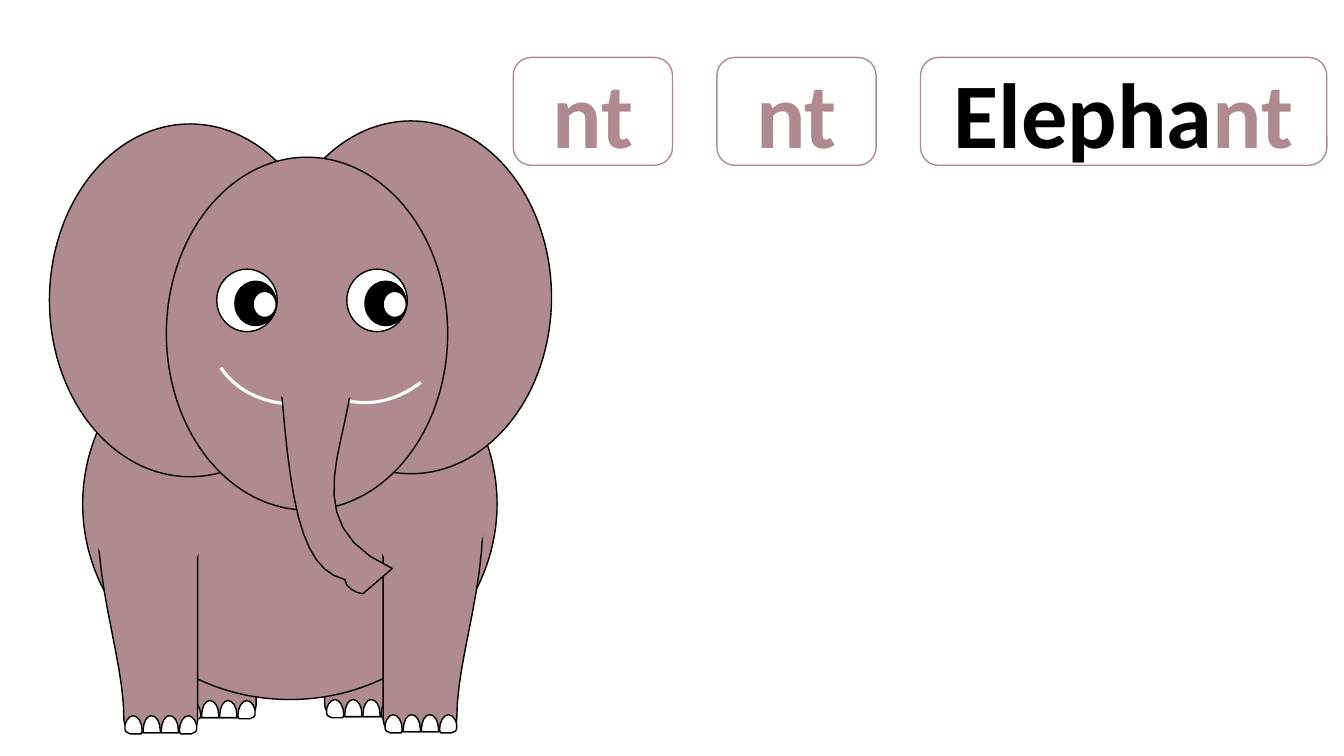
import math

from pptx import Presentation
from pptx import util as u
from pptx.dml.color import RGBColor
from pptx.enum import shapes, text

SKIN, INK, PAPER = "AF8B91", "000000", "FFFFFF"
KIND = shapes.MSO_SHAPE
CARDS = [(1.58, [("nt", SKIN)]), (1.58, [("nt", SKIN)]), (4.03, [("Elepha", INK), ("nt", SKIN)])]

# Each step holds one end point, or two control points and an end point.
LEG = [(0, 0.12), (0, 0.05, 0.05, 0, 0.12, 0), (0.61, 0),
       (0.67, 0, 0.89, -0.44, 0.89, -0.37), (1.19, 0.79, 0.73, 1.67, 0.73, 2.45),
       (0.73, 2.51, 0.67, 2.57, 0.61, 2.57), (0.12, 2.57), (0.05, 2.57, 0, 2.51, 0, 2.45)]
MIDDLE_TOE = [(0.08, 0), (0.04, 0, 0, 0.06, 0, 0.15), (0, 0.17), (0.17, 0.17),
              (0.17, 0.15), (0.17, 0.06, 0.13, 0, 0.08, 0)]
SIDE_TOE = [(0.08, 0), (0.05, 0, 0.01, 0.04, 0, 0.09), (0, 0.14),
            (0.01, 0.16), (0.05, 0.18), (0.16, 0.18), (0.17, 0.15),
            (0.17, 0.07, 0.13, 0, 0.08, 0)]
TRUNK = [(0.73, 0.12), (0.73, 0.06, 0.67, 0, 0.61, 0), (0.12, 0),
         (0.05, 0, 0, 0.06, 0, 0.12), (0.1, 1.44, 0.19, 2.16, 0.65, 2.27),
         (0.65, 2.34, 0.76, 2.41, 0.83, 2.41), (1.12, 2.16),
         (0.11, 1.7, 0.73, 0.9, 0.73, 0.12)]


def color(value):
    """Turn a hex string into a colour."""
    return RGBColor.from_string(value)


def paint(shape, fill, line, weight=1):
    """Set fill and line, where None means no paint, and drop the shadow."""
    shape.shadow.inherit = False
    for target, value in ((shape.fill, fill), (shape.line.fill, line)):
        if value is None:
            target.background()
        else:
            target.solid()
            target.fore_color.rgb = color(value)
    if line:
        shape.line.width = u.Pt(weight)
    return shape


def preset(page, kind, left, top, width, height, fill, line=INK, weight=1):
    """Add a painted preset shape."""
    box = [u.Inches(length) for length in (left, top, width, height)]
    return paint(page.shapes.add_shape(kind, *box), fill, line, weight)


def flatten(steps):
    """Turn lines and cubic curves into points, with more on longer curves."""
    points = [steps[0]]
    for step in steps[1:]:
        if len(step) == 2:
            points.append(step)
            continue
        corners = [points[-1], step[:2], step[2:4], step[4:]]
        count = math.ceil(8 * math.sqrt(math.dist(corners[0], corners[3])))
        for index in range(1, count + 1):
            t = index / count
            weights = ((1 - t) ** 3, 3 * t * (1 - t) ** 2, 3 * t * t * (1 - t), t ** 3)
            points.append(tuple(sum(w * corner[axis] for w, corner in zip(weights, corners))
                                for axis in (0, 1)))
    return points


def outline(page, left, top, steps, fill, side=1):
    """Draw a closed outline from its anchor, mirrored when side is -1."""
    points = [(u.Inches(left + side * x), u.Inches(top + y)) for x, y in flatten(steps)]
    builder = page.shapes.build_freeform(*points[0], scale=1.0)
    builder.add_line_segments(points[1:], close=True)
    paint(builder.convert_to_shape(), fill, INK)


def leg(page, left, top, side):
    """Draw a leg that spreads to one side of its inner edge, with four toes."""
    outline(page, left, top, LEG, SKIN, side)
    first = left + (0.02 if side > 0 else -0.72)
    for index in range(4):
        toe = SIDE_TOE if index in (0, 3) else MIDDLE_TOE
        mirrored = index == 3
        outline(page, first + 0.18 * index + 0.17 * mirrored, top + 2.4, toe, PAPER,
                -1 if mirrored else 1)


def eye(page, left, top):
    """Draw an eye with pupil and glint."""
    preset(page, KIND.OVAL, left, top, 0.6, 0.62, PAPER)
    preset(page, KIND.OVAL, left + 0.18, top + 0.12, 0.41, 0.44, INK)
    preset(page, KIND.OVAL, left + 0.36, top + 0.22, 0.23, 0.26, PAPER)


def head(page, left, top):
    """Draw ears, face, smile, trunk and eyes."""
    for x, y in ((2.19, 0), (0, 0.03), (1.16, 0.36)):
        preset(page, KIND.OVAL, left + x, top + y, 2.79, 3.5, SKIN)
    for x, y, angle in ((1.79, 0.49, 236.4), (2.3, 0.29, 194.1)):
        smile = preset(page, KIND.ARC, left + x, top + y, 1.92, 2.52, None, PAPER, 2.25)
        smile.adjustments[0], smile.adjustments[1] = 140.28, 162
        smile.rotation = angle
    outline(page, left + 2.28, top + 2.28, TRUNK, SKIN)
    preset(page, KIND.OVAL, left + 2.14, top + 2.11, 1.02, 0.71, SKIN, SKIN)
    for x in (1.66, 2.95):
        eye(page, left + x, top + 1.47)


def elephant(page, left, top):
    """Draw the elephant from its back legs to its head."""
    leg(page, left + 2.05, top + 3.35, -1)
    leg(page, left + 2.73, top + 3.34, 1)
    preset(page, KIND.OVAL, left + 0.33, top + 1.86, 4.11, 3.88, SKIN)
    leg(page, left + 1.47, top + 3.5, -1)
    leg(page, left + 3.31, top + 3.49, 1)
    for x, y, angle in ((0.38, 2.99, 351.3), (3.2, 2.95, 3.6)):
        hip = preset(page, KIND.OVAL, left + x, top + y, 1.16, 1.67, SKIN, None)
        hip.rotation = angle
    head(page, left, top)


def word_cards(page, left, top, height, gap):
    """Place the sound cards and the word card in a row."""
    for width, spans in CARDS:
        card = preset(page, KIND.ROUNDED_RECTANGLE, left, top, width, height, PAPER, SKIN)
        card.text_frame.word_wrap = True
        card.text_frame.vertical_anchor = text.MSO_ANCHOR.MIDDLE
        para = card.text_frame.paragraphs[0]
        para.alignment = text.PP_ALIGN.CENTER
        for words, ink in spans:
            span = para.add_run()
            span.text = words
            span.font.name = "Calibri"
            span.font.size = u.Pt(66)
            span.font.bold = True
            span.font.color.rgb = color(ink)
        left += width + gap


def main():
    """Build the slide and save it."""
    deck = Presentation()
    deck.slide_width, deck.slide_height = u.Inches(13.33), u.Inches(7.5)
    page = deck.slides.add_slide(deck.slide_layouts[6])
    word_cards(page, left=5.09, top=0.57, height=1.07, gap=0.44)
    elephant(page, left=0.49, top=1.2)
    deck.save("out.pptx")


if __name__ == "__main__":
    main()
